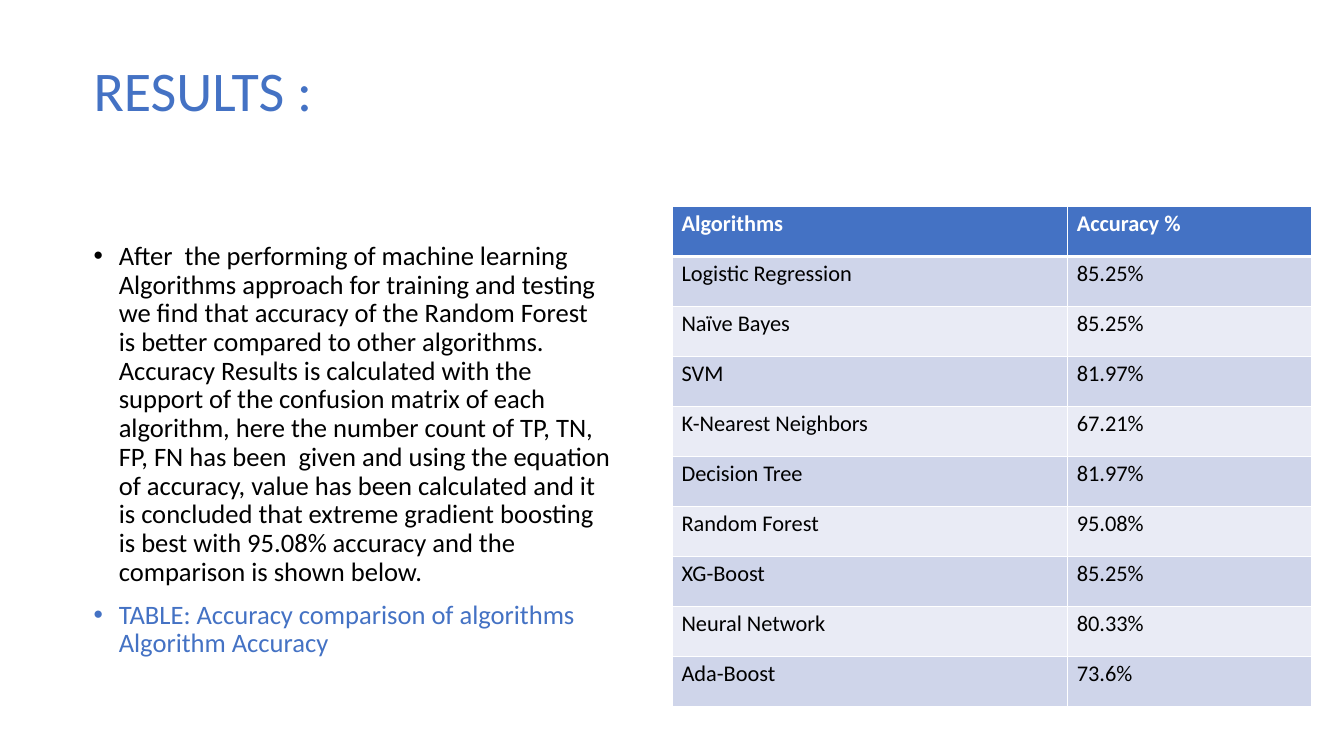
from pptx import Presentation
from pptx.dml.color import RGBColor as RGB
from pptx.enum.shapes import MSO_SHAPE as SHAPE
from pptx.enum.text import MSO_ANCHOR as ANCHOR
from pptx.oxml.ns import qn
from pptx.util import Inches as In, Pt
from lxml.etree import SubElement as Sub

THEME = {
    "font": "Calibri", "title": 40, "body": 19, "cell": 16,
    "blue": "4472C4", "black": "000000", "white": "FFFFFF",
    "bands": ("E9EBF5", "CFD5EA"),
}


def write(par, text, size, color="black", bold=False, bullet=False, lead=None, gap=0):
    """Put formatted text in a paragraph."""
    run = par.add_run()
    run.text = text
    run.font.name, run.font.size, run.font.bold = THEME["font"], Pt(THEME[size]), bold
    run.font.color.rgb = RGB.from_string(THEME[color])
    par.space_before = Pt(gap)
    if lead:
        par.line_spacing = lead
    if bullet:
        props = par._p.get_or_add_pPr()
        props.set("marL", str(In(0.25)))
        props.set("indent", str(In(-0.25)))
        Sub(props, qn("a:buFont"), typeface="Arial")
        Sub(props, qn("a:buChar"), char="•")


def edge(cell, low):
    """Give a cell white borders, the lower one in its own width."""
    props = cell._tc.get_or_add_tcPr()
    sides = {"a:lnL": 1, "a:lnR": 1, "a:lnT": 1, "a:lnB": low}
    for spot, (side, width) in enumerate(sides.items()):
        line = Sub(props, qn(side), w=str(Pt(width)))
        Sub(Sub(line, qn("a:solidFill")), qn("a:srgbClr"), val=THEME["white"])
        props.insert(spot, line)


deck = Presentation()
deck.slide_width, deck.slide_height = In(13.33), In(7.5)
slide = deck.slides.add_slide(deck.slide_layouts[6])
shapes = slide.shapes
left = In(0.83)

# Title band
band = shapes.add_shape(SHAPE.RECTANGLE, 0, 0, deck.slide_width, In(1.9))
band.shadow.inherit = False
band.fill.solid()
band.fill.fore_color.rgb = RGB.from_string(THEME["white"])
band.line.fill.background()

# Title
frame = shapes.add_textbox(left, In(0.26), In(11.77), In(1.34)).text_frame
frame.word_wrap = True
frame.vertical_anchor = ANCHOR.MIDDLE
write(frame.paragraphs[0], "RESULTS :", "title", "blue", lead=0.9)

# Findings
frame = shapes.add_textbox(left, In(1.96), In(5.32), In(5.44)).text_frame
frame.word_wrap = True
frame.vertical_anchor = ANCHOR.MIDDLE
frame.margin_bottom = In(0.47)
points = (
    ("After  the performing of machine learning Algorithms approach for training and "
     "testing we find that accuracy of the Random Forest is better compared to other "
     "algorithms. Accuracy Results is calculated with the support of the confusion "
     "matrix of each algorithm, here the number count of TP, TN, FP, FN has been  given "
     "and using the equation of accuracy, value has been calculated and it is concluded "
     "that extreme gradient boosting is best with 95.08% accuracy and the comparison is "
     "shown below.", "black"),
    ("TABLE: Accuracy comparison of algorithms Algorithm Accuracy", "blue"),
)
for at, (text, color) in enumerate(points):
    par = frame.add_paragraph() if at else frame.paragraphs[0]
    write(par, text, "body", color, bullet=True, lead=0.9, gap=10)

# Accuracy table
rows = (
    ("Algorithms", "Accuracy %"),
    ("Logistic Regression", "85.25%"),
    ("Naïve Bayes", "85.25%"),
    ("SVM", "81.97%"),
    ("K-Nearest Neighbors", "67.21%"),
    ("Decision Tree", "81.97%"),
    ("Random Forest", "95.08%"),
    ("XG-Boost", "85.25%"),
    ("Neural Network", "80.33%"),
    ("Ada-Boost", "73.6%"),
)
cols = (3.92, 2.42)
table = shapes.add_table(len(rows), len(cols), In(6.67), In(2.05),
                         In(sum(cols)), In(4.96)).table
for col, width in zip(table.columns, cols):
    col.width = In(width)
for y, row in enumerate(rows):
    head = y == 0
    for x, text in enumerate(row):
        cell = table.cell(y, x)
        cell.margin_left = cell.margin_right = In(0.09)
        cell.margin_top = cell.margin_bottom = In(0.04)
        cell.fill.solid()
        cell.fill.fore_color.rgb = RGB.from_string(
            THEME["blue"] if head else THEME["bands"][y % 2])
        edge(cell, 3 if head else 1)
        write(cell.text_frame.paragraphs[0], text, "cell",
              "white" if head else "black", bold=head)

deck.save("out.pptx")
